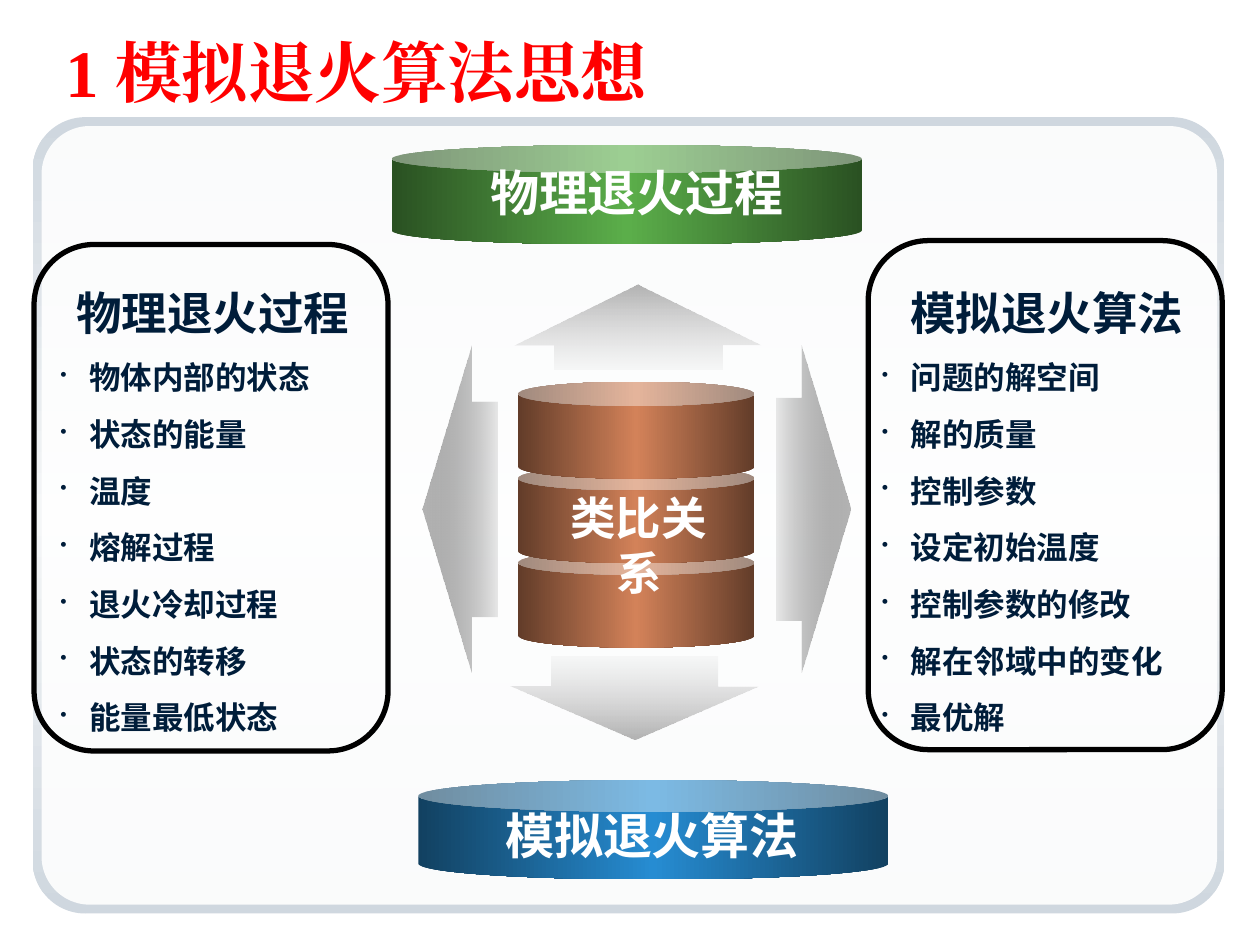
from lxml.etree import SubElement
from pptx import Presentation
from pptx.dml.color import RGBColor
from pptx.enum.shapes import MSO_SHAPE
from pptx.enum.text import MSO_ANCHOR, PP_ALIGN
from pptx.oxml.ns import qn
from pptx.util import Inches, Pt

RED = RGBColor(0xFF, 0x00, 0x00)
BLACK = RGBColor(0x00, 0x00, 0x00)
WHITE = RGBColor(0xFF, 0xFF, 0xFF)
NAVY = RGBColor(0x00, 0x1D, 0x3A)
FRAME_EDGE = RGBColor(0xCF, 0xD7, 0xDF)
FRAME_MIDDLE = RGBColor(0xF5, 0xF7, 0xF8)
DARK_GREEN = RGBColor(0x2A, 0x51, 0x22)
GREEN = RGBColor(0x5B, 0xAE, 0x4A)
DARK_BLUE = RGBColor(0x12, 0x41, 0x61)
BLUE = RGBColor(0x26, 0x8C, 0xD2)
DARK_COPPER = RGBColor(0x62, 0x3C, 0x29)
COPPER = RGBColor(0xD3, 0x82, 0x59)
GREY = RGBColor(0xB2, 0xB2, 0xB2)
LIGHT_GREY = RGBColor(0xCE, 0xCE, 0xCE)
DARK_GREY = RGBColor(0x52, 0x52, 0x52)

TITLE = "1 模拟退火算法思想"
PANELS = [
    ((0.27, 1.94, 2.81, 4.02), (0.38, 2.21, 2.62, 3.99), "物理退火过程",
     ["物体内部的状态", "状态的能量", "温度", "熔解过程", "退火冷却过程", "状态的转移", "能量最低状态"]),
    ((6.89, 1.91, 2.81, 4.04), (6.9, 2.21, 2.82, 3.99), "模拟退火算法",
     ["问题的解空间", "解的质量", "控制参数", "设定初始温度", "控制参数的修改", "解在邻域中的变化", "最优解"]),
]
DISCS = [
    ((3.11, 1.15, 3.73, 0.79), 0.28, DARK_GREEN, GREEN, (3.79, 1.24, 2.53, 0.57), "物理退火过程"),
    ((3.32, 6.19, 3.73, 0.79), 0.32, DARK_BLUE, BLUE, (3.91, 6.34, 2.53, 0.57), "模拟退火算法"),
]
SOLID_GREY = (GREY, 100)
FADED_LIGHT = (LIGHT_GREY, 12)
FADED_DARK = (DARK_GREY, 12)
ARROWS = [
    (MSO_SHAPE.DOWN_ARROW, (4.05, 5.21, 1.97, 0.66), (0.67, 0.64), FADED_LIGHT, SOLID_GREY, 90),
    (MSO_SHAPE.LEFT_ARROW, (3.35, 2.74, 0.6, 2.6), (0.66, 0.65), SOLID_GREY, FADED_DARK, 0),
    (MSO_SHAPE.RIGHT_ARROW, (6.16, 2.74, 0.59, 2.6), (0.68, 0.66), FADED_DARK, SOLID_GREY, 0),
    (MSO_SHAPE.UP_ARROW, (4.08, 2.26, 1.96, 0.67), (0.68, 0.71), SOLID_GREY, FADED_LIGHT, 90),
]
STACK_LEFT, STACK_BOTTOM_TOP, STACK_STEP = 4.11, 4.37, 0.67
STACK_LABEL = "类比关系"


def set_opacity(color_element, percent):
    if percent < 100:
        SubElement(color_element, qn("a:alpha")).set("val", str(percent * 1000))


def add_preset(page, preset, place, adjustments):
    shape = page.shapes.add_shape(preset, *map(Inches, place))
    for index, value in enumerate(adjustments):
        shape.adjustments[index] = value
    shape.shadow.inherit = False
    shape.fill.background()
    shape.line.fill.background()
    return shape


def fill_gradient(shape, colors, angle):
    shape.fill.gradient()
    gradient = shape._element.spPr.find(qn("a:gradFill"))
    stops = gradient.find(qn("a:gsLst"))
    for stop in list(stops):
        stops.remove(stop)
    for index, (color, opacity) in enumerate(colors):
        stop = SubElement(stops, qn("a:gs"))
        stop.set("pos", str(100000 * index // (len(colors) - 1)))
        color_element = SubElement(stop, qn("a:srgbClr"))
        color_element.set("val", str(color))
        set_opacity(color_element, opacity)
    gradient.find(qn("a:lin")).set("ang", str(angle * 60000))


def add_can(page, place, depth, edge, middle):
    can = add_preset(page, MSO_SHAPE.CAN, place, [depth])
    fill_gradient(can, [(edge, 100), (middle, 100), (edge, 100)], 0)


def add_bullet(para):
    properties = para._p.get_or_add_pPr()
    properties.set("marL", str(Inches(0.23)))
    properties.set("indent", str(-Inches(0.23)))
    color = SubElement(properties, qn("a:buClr"))
    SubElement(color, qn("a:srgbClr")).set("val", str(NAVY))
    SubElement(properties, qn("a:buSzPct")).set("val", "60000")
    SubElement(properties, qn("a:buChar")).set("char", "•")


def format_spans(para, size, font_name, color):
    for span in para.runs:
        span.font.size = Pt(size)
        span.font.bold = True
        span.font.name = font_name
        span.font.color.rgb = color
        SubElement(span._r.get_or_add_rPr(), qn("a:ea")).set("typeface", font_name)


def add_text(page, place, text, size, font_name, color, align=PP_ALIGN.CENTER, wrap=False):
    box = page.shapes.add_textbox(*map(Inches, place))
    frame = box.text_frame
    frame.word_wrap = wrap
    frame.text = text
    frame.paragraphs[0].alignment = align
    format_spans(frame.paragraphs[0], size, font_name, color)
    return frame


def add_panel(page, outline_place, text_place, heading, items):
    outline = add_preset(page, MSO_SHAPE.ROUNDED_RECTANGLE, outline_place, [0.17])
    outline.line.color.rgb = BLACK
    outline.line.width = Pt(3)
    frame = add_text(page, text_place, heading, 26, "DejaVu Sans", NAVY, wrap=True)
    for item in items:
        para = frame.add_paragraph()
        para.text = item
        para.line_spacing = 1.5
        add_bullet(para)
        format_spans(para, 18, "DejaVu Sans", NAVY)


def main():
    deck = Presentation()
    deck.slide_width, deck.slide_height = Inches(10), Inches(7.5)
    page = deck.slides.add_slide(deck.slide_layouts[6])

    frame = add_preset(page, MSO_SHAPE.ROUNDED_RECTANGLE, (0.26, 0.93, 9.46, 6.32), [0.066])
    fill_gradient(frame, [(FRAME_EDGE, 100), (FRAME_MIDDLE, 100), (FRAME_EDGE, 100)], 90)
    inner = add_preset(page, MSO_SHAPE.ROUNDED_RECTANGLE, (0.33, 1, 9.33, 6.18), [0.062])
    inner.fill.solid()
    inner.fill.fore_color.rgb = WHITE
    set_opacity(inner._element.spPr.find(qn("a:solidFill"))[0], 90)

    title = add_text(page, (0.42, 0.25, 9.33, 0.62), TITLE, 38, "Times New Roman", RED,
                     PP_ALIGN.LEFT, wrap=True)
    title.vertical_anchor = MSO_ANCHOR.MIDDLE

    for panel in PANELS:
        add_panel(page, *panel)

    for place, depth, edge, middle, label_place, label in DISCS:
        add_can(page, place, depth, edge, middle)
        add_text(page, label_place, label, 28, "Arial", WHITE)

    for preset, place, adjustments, start, end, angle in ARROWS:
        arrow = add_preset(page, preset, place, adjustments)
        fill_gradient(arrow, [start, end], angle)

    for level in range(3):
        top = STACK_BOTTOM_TOP - level * STACK_STEP
        add_can(page, (STACK_LEFT, top, 1.88, 0.77), 0.25, DARK_COPPER, COPPER)
    add_text(page, (4.25, 3.84, 1.64, 0.54), STACK_LABEL, 26, "Arial", WHITE)

    deck.save("out.pptx")


if __name__ == "__main__":
    main()
